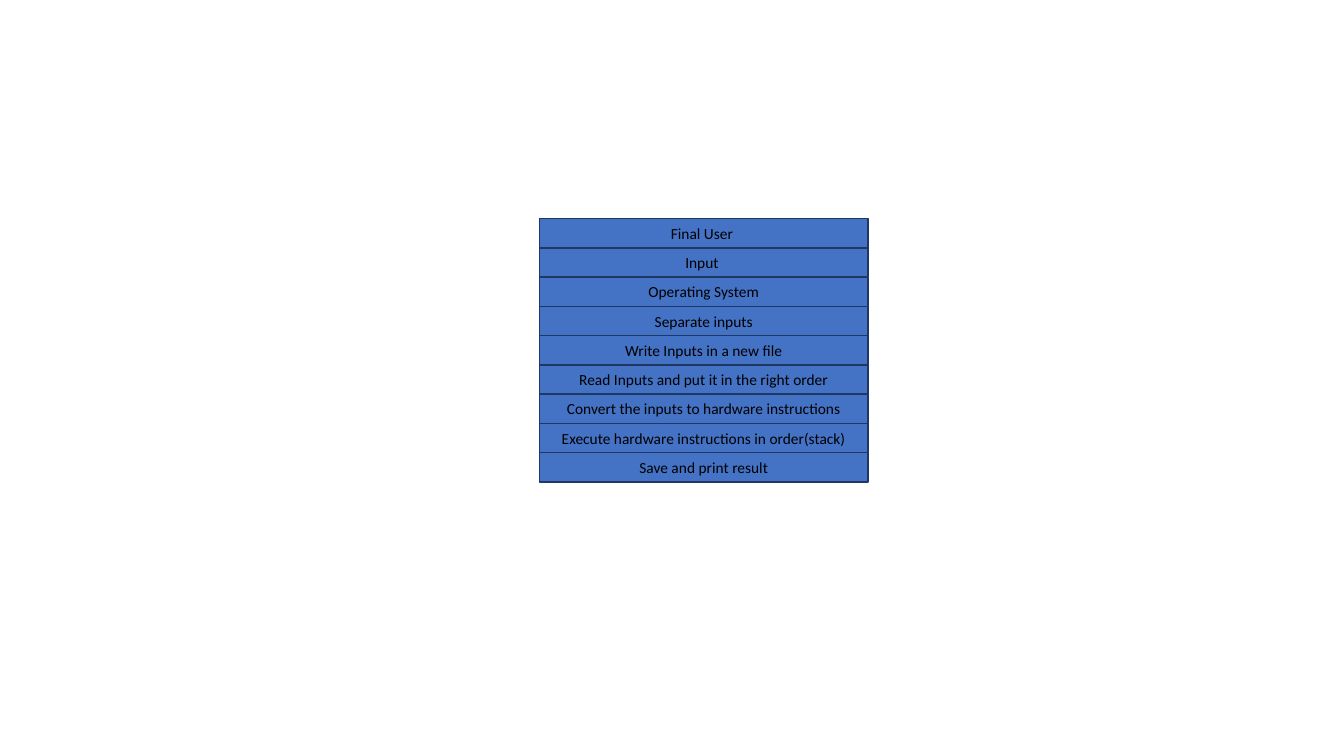
"""Build a slide with a stack of processing layers, from user to result."""
from dataclasses import dataclass

from pptx import Presentation
from pptx.dml.color import RGBColor as Rgb
from pptx.enum.shapes import MSO_SHAPE as Form
from pptx.enum.text import MSO_ANCHOR as Anchor, PP_ALIGN as Align
from pptx.shapes.group import GroupShape as Group
from pptx.util import Inches, Pt

LEFT, TOP, WIDTH, ROW = 5.35, 2.17, 3.26, 0.29


@dataclass(frozen=True)
class Layer:
    row: int
    text: str


LABELS = (
    "Final User ",
    "Input ",
    "Operating System",
    "Separate inputs",
    "Write Inputs in a new file",
    "Read Inputs and put it in the right order",
    "Convert the inputs to hardware instructions",
    "Execute hardware instructions in order(stack)",
    "Save and print result",
)
LAYERS = [Layer(row, text) for row, text in enumerate(LABELS)]


def paint(target, shade: str) -> None:
    target.rgb = Rgb.from_string(shade)


def draw(stack: Group, layer: Layer) -> None:
    top = TOP + layer.row * ROW
    box = stack.shapes.add_shape(
        Form.RECTANGLE, Inches(LEFT), Inches(top), Inches(WIDTH), Inches(ROW)
    )
    box.shadow.inherit = False
    box.fill.solid()
    paint(box.fill.fore_color, "4472C4")
    paint(box.line.color, "1F3763")
    box.line.width = Pt(1)
    frame = box.text_frame
    frame.word_wrap = True
    frame.vertical_anchor = Anchor.MIDDLE
    label = frame.paragraphs[0]
    label.text = layer.text
    label.alignment = Align.CENTER
    label.font.name = "Calibri"
    label.font.size = Pt(11)
    paint(label.font.color, "000000")


def main() -> None:
    deck = Presentation()
    deck.slide_width, deck.slide_height = Inches(13.33), Inches(7.5)
    slide = deck.slides.add_slide(deck.slide_layouts[6])
    stack = slide.shapes.add_group_shape()
    for layer in LAYERS:
        draw(stack, layer)
    deck.save("out.pptx")


if __name__ == "__main__":
    main()
